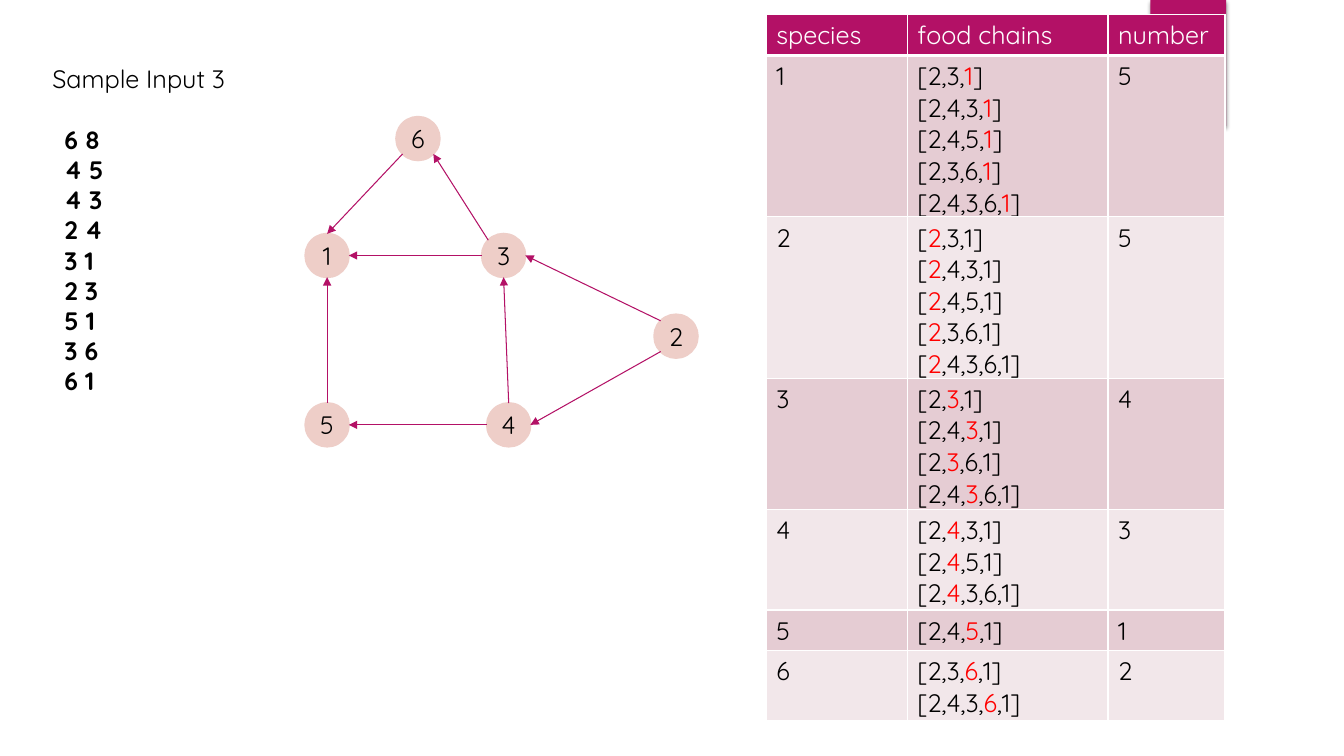
"""Food web slide: sample input, species graph and table of food chains."""
from math import cos, radians, sin

from lxml.etree import SubElement
from pptx import Presentation
from pptx.dml.color import RGBColor
from pptx.enum.shapes import MSO_CONNECTOR as Connector, MSO_SHAPE as Shape
from pptx.enum.text import MSO_ANCHOR as Anchor, PP_ALIGN as Align
from pptx.oxml.ns import qn
from pptx.util import Inches, Pt

WIDTH, HEIGHT = 13.33, 7.5
ACCENT, BLACK, WHITE, RED, PEACH = "B31166", "000000", "FFFFFF", "FF0000", "EECEC8"
BANDS = ("E5CCD3", "F2E7EA")
FONT = {"name": "Quicksand", "size": Pt(18)}

NODE_SIZE = 3.23
NODES = {
    "1": (24.34, 33.8), "2": (50.3, 44.47), "3": (37.47, 33.8),
    "4": (37.85, 56.2), "5": (24.34, 56.2), "6": (31.1, 18.33),
}
SITES = ("top", "top left", "left", "bottom left",
         "bottom", "bottom right", "right", "top right")
EDGES = {
    "4 5": ("left", "right"), "4 3": ("top", "bottom"),
    "2 4": ("bottom left", "right"), "3 1": ("left", "right"),
    "2 3": ("top left", "right"), "5 1": ("top", "bottom"),
    "3 6": ("top left", "bottom right"), "6 1": ("bottom left", "top"),
}
CHAINS = ("[2,3,1]", "[2,4,3,1]", "[2,4,5,1]", "[2,3,6,1]", "[2,4,3,6,1]")
HEADINGS = ("species", "food chains", "number")
COLUMNS = (10.5, 14.93, 8.7)
HEADER_ROW, ROW_PADDING, ROW_LINE = 5.47, 1.33, 4


def across(share):
    """Turn a percentage of the slide width into a length."""
    return Inches(WIDTH * share / 100)


def down(share):
    """Turn a percentage of the slide height into a length."""
    return Inches(HEIGHT * share / 100)


def area(left, top, width, height):
    """Turn four percentages into a position and size."""
    return across(left), down(top), across(width), down(height)


def color(value):
    """Turn a hex string into a colour."""
    return RGBColor.from_string(value)


def paint(target, value):
    """Give a shape, cell or line a solid fill."""
    target.fill.solid()
    target.fill.fore_color.rgb = color(value)


def style(target, formats):
    """Set each format value on the target."""
    for name, value in formats.items():
        setattr(target, name, value)


def write(frame, lines, ink=BLACK, bold=False, mark=None, align=None):
    """Fill a text frame with lines, showing the mark in red."""
    for index, line in enumerate(lines):
        para = frame.paragraphs[0] if index == 0 else frame.add_paragraph()
        para.alignment = align
        for part in line.partition(mark) if mark else (line,):
            span = para.add_run()
            span.text = part
            style(span.font, {**FONT, "bold": bold})
            span.font.color.rgb = color(RED if part == mark else ink)


def add_text(page, place, lines, bold=False):
    """Add a text box of unwrapped lines."""
    box = page.shapes.add_textbox(*area(*place))
    box.text_frame.word_wrap = False
    write(box.text_frame, lines, bold=bold)


def add_accent(page):
    """Add the shadowed accent block at the top edge."""
    block = page.shapes.add_shape(Shape.RECTANGLE, *area(85.6, 0, 5.63, 16.67))
    paint(block, ACCENT)
    block.line.fill.background()
    effects = SubElement(block.element.spPr, qn("a:effectLst"))
    shadow = SubElement(effects, qn("a:outerShdw"), blurRad=str(Pt(3)),
                        dist=str(Pt(2)), dir="5400000", rotWithShape="0")
    tint = SubElement(shadow, qn("a:srgbClr"), val=BLACK)
    SubElement(tint, qn("a:alpha"), val="45000")


def add_node(page, name):
    """Add the circle of one species."""
    x, y = NODES[name]
    size = across(NODE_SIZE)
    circle = page.shapes.add_shape(
        Shape.OVAL, across(x) - size // 2, down(y) - size // 2, size, size)
    circle.shadow.inherit = False
    paint(circle, PEACH)
    paint(circle.line, PEACH)
    circle.line.width = Pt(1.5)
    frame = circle.text_frame
    style(frame, {"margin_left": 0, "margin_right": 0, "margin_top": 0,
                  "margin_bottom": 0, "vertical_anchor": Anchor.MIDDLE})
    write(frame, [name], align=Align.CENTER)


def site_point(name, site):
    """Find a connection site on the rim of a node."""
    x, y = NODES[name]
    angle = radians(90 + 45 * SITES.index(site))
    radius = across(NODE_SIZE) / 2
    return int(across(x) + radius * cos(angle)), int(down(y) - radius * sin(angle))


def add_arrow(page, edge, sites):
    """Add the arrow of one edge between two nodes."""
    start, end = (site_point(*pair) for pair in zip(edge.split(), sites))
    arrow = page.shapes.add_connector(Connector.STRAIGHT, *start, *end)
    paint(arrow.line, ACCENT)
    arrow.line.width = Pt(0.75)
    SubElement(arrow.line._get_or_add_ln(), qn("a:tailEnd"), type="triangle")
    SubElement(arrow._element.spPr, qn("a:effectLst"))


def add_borders(cell, top, bottom):
    """Give a cell white borders."""
    properties = cell._tc.get_or_add_tcPr()
    for side, width in (("L", 1), ("R", 1), ("T", top), ("B", bottom)):
        border = SubElement(properties, qn(f"a:ln{side}"), w=str(Pt(width)))
        fill = SubElement(border, qn("a:solidFill"))
        SubElement(fill, qn("a:srgbClr"), val=WHITE)


def add_chain_table(page):
    """Add the table of the food chains through each species."""
    found = {name: [chain for chain in CHAINS if name in chain] for name in NODES}
    heights = [HEADER_ROW] + [ROW_PADDING + ROW_LINE * len(chains)
                              for chains in found.values()]
    rows = [[[heading] for heading in HEADINGS]]
    rows += [[[name], chains, [str(len(chains))]] for name, chains in found.items()]
    place = area(57.01, 1.87, sum(COLUMNS), sum(heights))
    table = page.shapes.add_table(len(rows), len(COLUMNS), *place).table
    for column, width in zip(table.columns, COLUMNS):
        column.width = across(width)
    for index, (row, height, texts) in enumerate(zip(table.rows, heights, rows)):
        row.height = down(height)
        header = index == 0
        for position, (cell, lines) in enumerate(zip(row.cells, texts)):
            add_borders(cell, 3 if index == 1 else 1, 3 if header else 1)
            paint(cell, ACCENT if header else BANDS[(index - 1) % 2])
            mark = texts[0][0] if position == 1 and not header else None
            write(cell.text_frame, lines, WHITE if header else BLACK, mark=mark)


def main():
    """Build the slide and save it."""
    deck = Presentation()
    style(deck, {"slide_width": Inches(WIDTH), "slide_height": Inches(HEIGHT)})
    page = deck.slides.add_slide(deck.slide_layouts[6])
    add_accent(page)
    add_text(page, (3.15, 7.73, 15.23, 5.33), ["Sample Input 3"])
    add_text(page, (4.05, 15.73, 4.73, 37.73), ["6 8", *EDGES], bold=True)
    for name in NODES:
        add_node(page, name)
    for edge, sites in EDGES.items():
        add_arrow(page, edge, sites)
    add_chain_table(page)
    deck.save("out.pptx")


if __name__ == "__main__":
    main()
